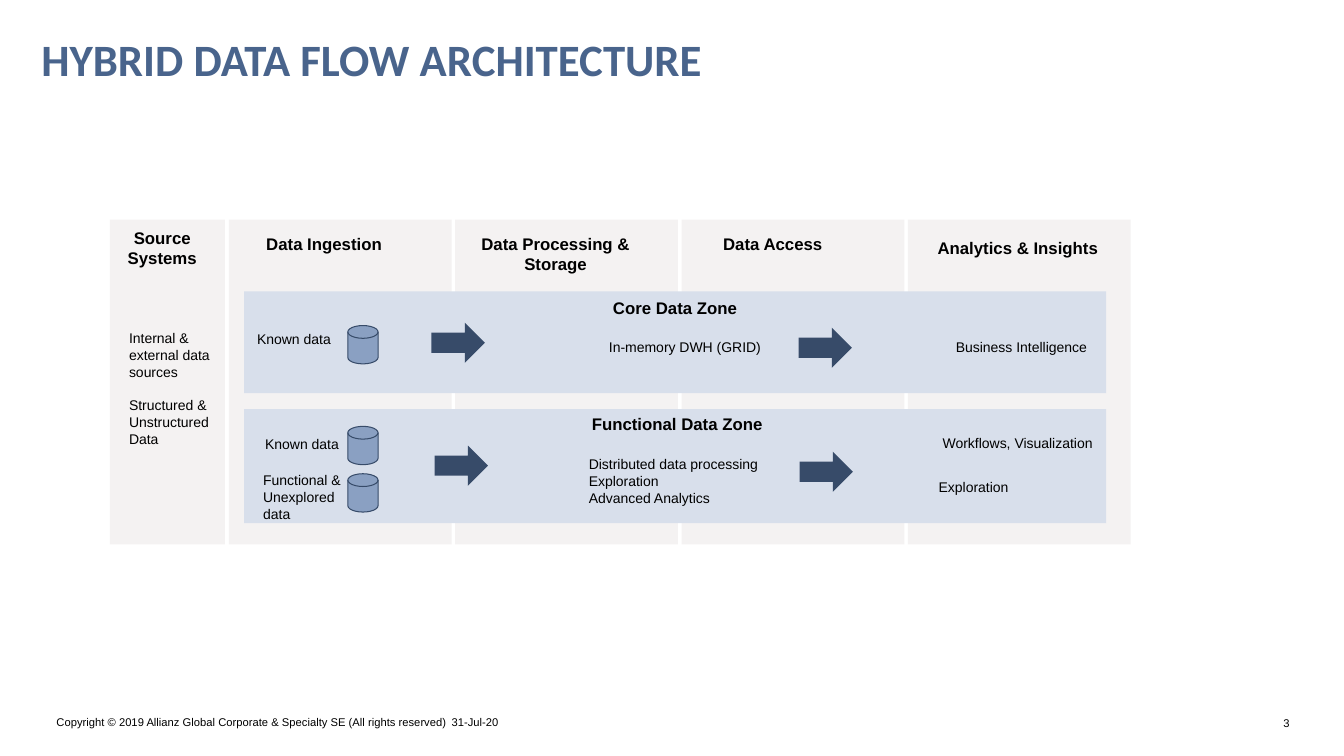
import pptx
import pptx.util
import pptx.dml.color
import pptx.enum.shapes
import pptx.enum.text
from pptx.util import Inches, Pt

SHAPE = pptx.enum.shapes.MSO_SHAPE
ALIGN = pptx.enum.text.PP_ALIGN
ANCHOR = pptx.enum.text.MSO_ANCHOR
rgb = pptx.dml.color.RGBColor.from_string

deck = pptx.Presentation()
deck.slide_width, deck.slide_height = Inches(13.33), Inches(7.5)
slide = deck.slides.add_slide(deck.slide_layouts[5])


def add_block(kind, left, top, width, height, fill, outline=None):
    block = slide.shapes.add_shape(
        kind, Inches(left), Inches(top), Inches(width), Inches(height))
    block.shadow.inherit = False
    block.fill.solid()
    block.fill.fore_color.rgb = rgb(fill)
    if outline:
        block.line.color.rgb = rgb(outline)
        block.line.width = Pt(0.75)
    else:
        block.line.fill.background()


def add_label(text, left, top, width, height, size=10, bold=False,
              align=ALIGN.LEFT, inset=0.08):
    box = slide.shapes.add_textbox(
        Inches(left), Inches(top), Inches(width), Inches(height))
    frame = box.text_frame
    frame.word_wrap = True
    frame.margin_left = frame.margin_right = Inches(inset)
    frame.margin_top = frame.margin_bottom = Inches(inset)
    frame.text = text
    for paragraph in frame.paragraphs:
        paragraph.alignment = align
        for run in paragraph.runs:
            run.font.name = "Arial"
            run.font.size = Pt(size)
            run.font.bold = bold
            run.font.color.rgb = rgb("000000")
    return frame


# Title
title = slide.shapes.title
title.left, title.top = Inches(0.41), Inches(0.01)
title.width, title.height = Inches(11.67), Inches(0.56)
heading = title.text_frame
heading.text = "HYBRID DATA FLOW ARCHITECTURE"
heading.word_wrap = True
heading.auto_size = pptx.enum.text.MSO_AUTO_SIZE.NONE
heading.vertical_anchor = ANCHOR.TOP
heading.margin_left = heading.margin_right = heading.margin_bottom = 0
heading.margin_top = Inches(0.04)
heading.paragraphs[0].alignment = ALIGN.LEFT
heading.paragraphs[0].line_spacing = 1.5
title_font = heading.paragraphs[0].runs[0].font
title_font.name, title_font.size, title_font.bold = "Calibri", Pt(32), True
title_font.color.rgb = rgb("49648C")

# Stage columns: a narrow one for the sources, then four equal ones
add_block(SHAPE.RECTANGLE, 1.09, 2.18, 1.14, 3.22, "F4F2F2")
for stage in range(4):
    add_block(SHAPE.RECTANGLE, 2.27 + 2.245 * stage, 2.18, 2.21, 3.22, "F4F2F2")

# Stage headings
for text, left, top, width, height in [
    ("Source Systems", 1.16, 2.18, 0.9, 0.56),
    ("Data Ingestion", 2.36, 2.24, 1.71, 0.36),
    ("Data Processing & Storage", 4.47, 2.24, 2.08, 0.56),
    ("Data Access", 6.95, 2.24, 1.43, 0.36),
    ("Analytics & Insights", 9.07, 2.28, 2.05, 0.36),
]:
    add_label(text, left, top, width, height, 12, True, ALIGN.CENTER)

# Data zones across the stages
for name, top, height, name_left, name_top, name_width in [
    ("Core Data Zone", 2.89, 1.01, 6, 2.87, 1.8),
    ("Functional Data Zone", 4.06, 1.13, 5.79, 4.02, 2.01),
]:
    add_block(SHAPE.RECTANGLE, 2.42, top, 8.55, height, "D8DFEB")
    add_label(name, name_left, name_top, name_width, 0.36, 12, True)

# Data stores
for top in (3.23, 4.23, 4.7):
    add_block(SHAPE.FLOWCHART_MAGNETIC_DISK, 3.45, top, 0.3, 0.38,
              "8AA0C2", "374B69")

# Flow arrows
for left, top in [(4.28, 3.2), (7.92, 3.25), (4.31, 4.42), (7.93, 4.48)]:
    add_block(SHAPE.RIGHT_ARROW, left, top, 0.53, 0.4, "374B69")

# Zone contents
for text, left, top, width, height in [
    ("Known data", 2.47, 3.2, 1, 0.33),
    ("In-memory DWH (GRID)", 5.96, 3.28, 1.8, 0.33),
    ("Business Intelligence", 9.4, 3.28, 1.8, 0.33),
    ("Known data", 2.55, 4.24, 1.16, 0.33),
    ("Functional & Unexplored data", 2.53, 4.6, 0.98, 0.66),
    ("Distributed data processing\nExploration\nAdvanced Analytics",
     5.76, 4.44, 2.21, 0.83),
    ("Workflows, Visualization", 9.27, 4.23, 1.8, 0.33),
    ("Exploration", 9.23, 4.67, 1.8, 0.33),
]:
    add_label(text, left, top, width, height)

# Source descriptions
sources = add_label(
    "Internal & external data sources\nStructured & Unstructured Data",
    1.2, 3.19, 1.03, 1.34)
sources.paragraphs[1].space_before = Pt(12)

# Footer
for text, left, top, width, align in [
    ("Copyright © 2019 Allianz Global Corporate & Specialty SE "
     "(All rights reserved)", 0.56, 7.1, 3.92, ALIGN.LEFT),
    ("31-Jul-20", 4.48, 7.1, 1.43, ALIGN.LEFT),
    ("3", 12.23, 7.11, 0.56, ALIGN.RIGHT),
]:
    footer = add_label(text, left, top, width, 0.13, 8, False, align, 0)
    footer.vertical_anchor = ANCHOR.MIDDLE

deck.save("out.pptx")
